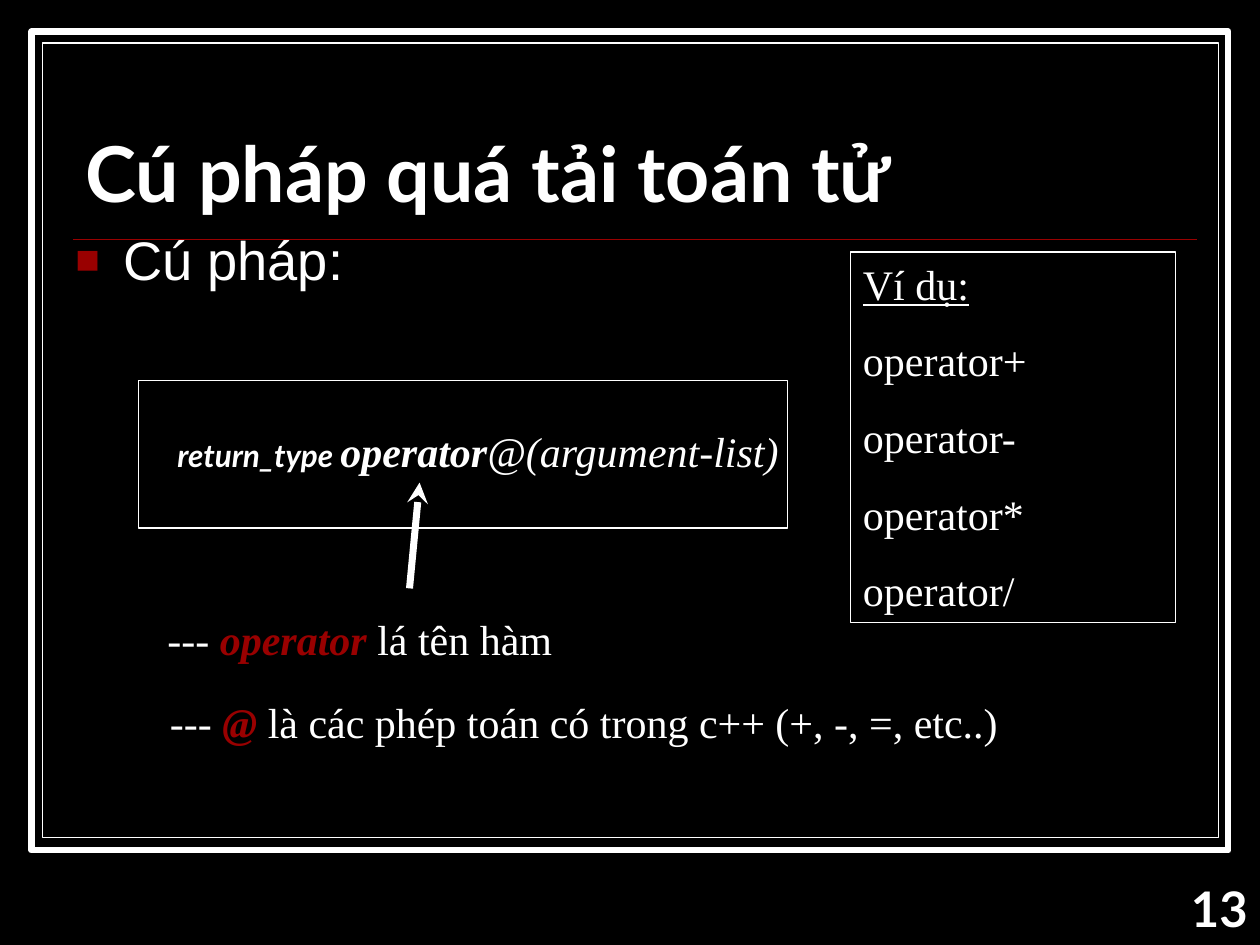
from dataclasses import dataclass
from typing import NamedTuple

from lxml.etree import SubElement
from pptx import Presentation
from pptx.dml.color import RGBColor
from pptx.enum.shapes import MSO_CONNECTOR as Connector, MSO_SHAPE as Preset
from pptx.enum.text import MSO_ANCHOR as Anchor, PP_ALIGN as Align
from pptx.oxml.ns import qn
from pptx.util import Inches, Pt

COLUMNS, ROWS = 100, 75


@dataclass(frozen=True)
class Theme:
    black: RGBColor = RGBColor(0, 0, 0)
    white: RGBColor = RGBColor(255, 255, 255)
    red: RGBColor = RGBColor(153, 0, 0)
    heading: str = "Lato"
    bullet: str = "Arial"
    serif: str = "Times New Roman"
    title_size: float = 44
    bullet_size: float = 31
    number_size: float = 28
    body_size: float = 24
    small_size: float = 18


THEME = Theme()


class Area(NamedTuple):
    column: float
    row: float
    columns: float
    rows: float


class Span(NamedTuple):
    text: str
    font: str = THEME.serif
    size: float = THEME.body_size
    color: RGBColor = THEME.white
    bold: bool = False
    italic: bool = False
    underline: bool = False


class Frame(NamedTuple):
    area: Area
    line_width: float
    filled: bool = False


class Label(NamedTuple):
    area: Area
    paras: list[list[Span]]
    wrap: bool = False
    anchor: Anchor = Anchor.TOP
    align: Align = Align.LEFT
    line_spacing: float = 1.0
    gap: float = 0
    bulleted: bool = False


class Stroke(NamedTuple):
    start: tuple[float, float]
    end: tuple[float, float]
    color: RGBColor
    width: float
    arrow: bool = False


def place(deck, column: float, row: float) -> tuple[int, int]:
    return int(deck.slide_width * column / COLUMNS), int(deck.slide_height * row / ROWS)


def draw_frame(deck, page, frame: Frame):
    area = frame.area
    box = page.shapes.add_shape(Preset.RECTANGLE, *place(deck, *area[:2]), *place(deck, *area[2:]))
    box.shadow.inherit = False
    if frame.filled:
        box.fill.solid()
        box.fill.fore_color.rgb = THEME.black
    else:
        box.fill.background()
    box.line.color.rgb = THEME.white
    box.line.width = Pt(frame.line_width)
    return box


def draw_stroke(deck, page, stroke: Stroke) -> None:
    line = page.shapes.add_connector(
        Connector.STRAIGHT, *place(deck, *stroke.start), *place(deck, *stroke.end))
    line.line.color.rgb = stroke.color
    line.line.width = Pt(stroke.width)
    if stroke.arrow:
        SubElement(line.line._get_or_add_ln(), qn("a:tailEnd"), type="stealth")
    SubElement(line._element.spPr, qn("a:effectLst"))


def add_bullet(para) -> None:
    properties = para._p.get_or_add_pPr()
    properties.set("marL", str(Inches(0.38)))
    properties.set("indent", str(-Inches(0.38)))
    color = SubElement(properties, qn("a:buClr"))
    SubElement(color, qn("a:srgbClr"), val=str(THEME.red))
    SubElement(properties, qn("a:buSzPct"), val="75000")
    SubElement(properties, qn("a:buFont"), typeface=THEME.bullet)
    SubElement(properties, qn("a:buChar"), char="■")


def write(box, label: Label) -> None:
    frame = box.text_frame
    frame.word_wrap = label.wrap
    frame.vertical_anchor = label.anchor
    for index, spans in enumerate(label.paras):
        para = frame.paragraphs[0] if index == 0 else frame.add_paragraph()
        para.alignment = label.align
        para.line_spacing = label.line_spacing
        para.space_before = Pt(label.gap if index else 0)
        if label.bulleted:
            add_bullet(para)
        for span in spans:
            run = para.add_run()
            run.text = span.text
            font = run.font
            font.name, font.size = span.font, Pt(span.size)
            font.bold, font.italic, font.underline = span.bold, span.italic, span.underline
            font.color.rgb = span.color


def draw_label(deck, page, label: Label) -> None:
    area = label.area
    write(page.shapes.add_textbox(*place(deck, *area[:2]), *place(deck, *area[2:])), label)


def note(row: float, column: float, columns: float, term: str, meaning: str) -> Label:
    emphasis = Span(term, color=THEME.red, bold=True, italic=True)
    return Label(Area(column, row, columns, 5), [[Span("--- "), emphasis, Span(meaning)]])


BORDERS = [
    Frame(Area(2.5, 2.5, 95, 65), 3.5, True),
    Frame(Area(3.4, 3.4, 93.3, 63.1), 0.75, True),
]
SYNTAX_FRAME = Frame(Area(11, 30.2, 51.5, 11.7), 1)
EXAMPLE_FRAME = Frame(Area(67.5, 20, 25.8, 29.4), 0.75)
STROKES = [
    Stroke((5.8, 19), (95, 19), THEME.red, 1),
    Stroke((32.5, 46.7), (33.3, 38.3), THEME.white, 4, True),
]
LABELS = [
    Label(Area(5.8, 5.2, 89.2, 12.5),
          [[Span("Cú pháp quá tải toán tử", THEME.heading, THEME.title_size, bold=True)]],
          wrap=True, anchor=Anchor.BOTTOM, line_spacing=0.8),
    Label(Area(5, 17.5, 90, 49.5), [[Span("Cú pháp:", THEME.bullet, THEME.bullet_size)]],
          wrap=True, bulleted=True),
    Label(Area(13.1, 33.3, 51.3, 5), [[
        Span("return_type ", THEME.heading, THEME.small_size, bold=True, italic=True),
        Span("operator", bold=True, italic=True),
        Span("@(argument-list)", italic=True)]]),
    note(48.2, 12.3, 32.6, "operator", " lá tên hàm"),
    note(54.8, 12.5, 67.8, "@", " là các phép toán có trong c++ (+, -, =, etc..)"),
    Label(Area(90.8, 69.2, 9.2, 6.3),
          [[Span("13", THEME.heading, THEME.number_size, bold=True)]],
          wrap=True, align=Align.RIGHT),
]
EXAMPLES = Label(
    EXAMPLE_FRAME.area,
    [[Span("Ví dụ:", underline=True)]] + [[Span(f"operator{sign}")] for sign in "+-*/"],
    wrap=True, gap=15)


def main() -> None:
    """Build the operator overloading syntax slide."""
    deck = Presentation()
    deck.slide_width, deck.slide_height = Inches(10), Inches(7.5)
    page = deck.slides.add_slide(deck.slide_layouts[6])
    page.background.fill.solid()
    page.background.fill.fore_color.rgb = THEME.black
    for border in BORDERS:
        draw_frame(deck, page, border)
    draw_frame(deck, page, SYNTAX_FRAME)
    for stroke in STROKES:
        draw_stroke(deck, page, stroke)
    for label in LABELS:
        draw_label(deck, page, label)
    write(draw_frame(deck, page, EXAMPLE_FRAME), EXAMPLES)
    deck.save("out.pptx")


if __name__ == "__main__":
    main()
